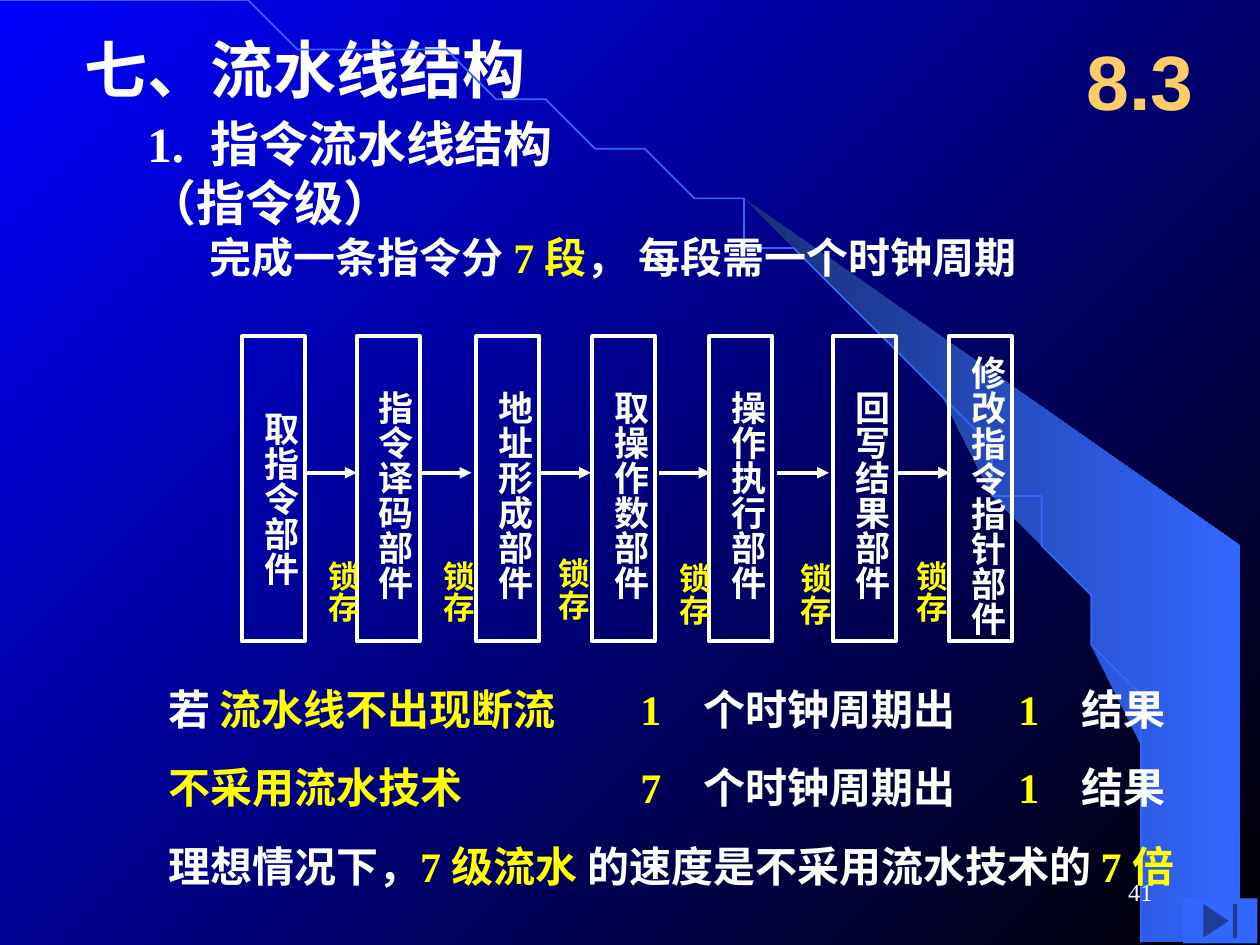
from lxml.etree import SubElement
from pptx import Presentation
from pptx.dml.color import RGBColor
from pptx.enum.shapes import MSO_CONNECTOR, MSO_SHAPE
from pptx.enum.text import MSO_ANCHOR, MSO_AUTO_SIZE, PP_ALIGN
from pptx.oxml.ns import qn
from pptx.util import Cm, Pt

WHITE, YELLOW, ORANGE, BLUE = "FFFFFF", "FFFF00", "FFCC66", "3366FF"
SERIF, SANS = "Times New Roman", "Arial"

TITLE = [("七、流水线结构", WHITE)]
HEADING = [("1.\t指令流水线结构（指令级）", WHITE)]


def rate_runs(cycles):
    return [(f"{cycles}\t", YELLOW), ("个时钟周期出\t", WHITE), ("1\t", YELLOW), ("结果", WHITE)]


RATE_TABS = [1.03, 5.69, 6.71]
# left, top, width, tab stops, runs
STATEMENTS = [
    (4.23, 4.45, 18.2, [], [("完成一条指令分 ", WHITE), ("7 段", YELLOW), ("， 每段需一个时钟周期", WHITE)]),
    (3.39, 13.55, 9.31, [], [("若 ", WHITE), ("流水线不出现断流", YELLOW)]),
    (12.91, 13.55, 9.53, RATE_TABS, rate_runs(1)),
    (3.39, 15.13, 8.26, [], [("不采用流水技术", YELLOW)]),
    (12.91, 15.13, 9.53, RATE_TABS, rate_runs(7)),
    (3.39, 16.72, 21.17, [], [("理想情况下，", WHITE), ("7 级流水 ", YELLOW),
                              ("的速度是不采用流水技术的 ", WHITE), ("7 倍", YELLOW)]),
]

# box left, label top, label height, label wraps, label
STAGES = [
    (4.88, 8.05, 3.78, False, "取指令部件"),
    (7.19, 7.62, 4.5, False, "指令译码部件"),
    (9.6, 7.62, 4.5, False, "地址形成部件"),
    (11.94, 7.62, 4.5, False, "取操作数部件"),
    (14.3, 7.62, 5.26, True, "操作执行部件"),
    (16.79, 7.62, 5.72, True, "回写结果部件"),
    (19.13, 6.93, 5.92, False, "修改指令指针部件"),
]
STAGE_TOP, STAGE_WIDTH, STAGE_HEIGHT = 6.78, 1.27, 6.15
ARROW_STARTS = [6.15, 8.46, 10.87, 13.28, 15.67, 18.11]
ARROW_Y, ARROW_LENGTH = 9.53, 1.04
LATCHES = [(6.15, 11.05), (8.48, 11.05), (10.8, 11), (13.23, 11.1), (15.67, 11.1), (18.01, 11.05)]

ARC = [(0, 0), (12.9, 0), (23.37, 8.51), (23.37, 19.02)]
CRESCENT = [
    (23.37, 19), (25.37, 19.02), (25.37, 10.74), (14.96, 4.39), (15.85, 5.05), (16.59, 5.64),
    (17.4, 6.35), (18.19, 7.11), (19.35, 8.38), (20.4, 9.75), (21.13, 10.95), (21.79, 12.17),
    (22.3, 13.41), (22.68, 14.53), (22.94, 15.47), (23.19, 16.66), (23.29, 17.68),
]

LINE_FRAME = dict(margin_left=0, margin_right=0, margin_top=Cm(0.13), margin_bottom=Cm(0.13),
                  vertical_anchor=MSO_ANCHOR.MIDDLE, auto_size=MSO_AUTO_SIZE.NONE, word_wrap=False)
CORNER_FRAME = {**LINE_FRAME, "margin_left": Cm(0.25), "margin_right": Cm(0.25), "word_wrap": True}
VERTICAL_FRAME = dict(margin_left=Cm(0.13), margin_right=Cm(0.13), margin_top=Cm(0.25),
                      margin_bottom=Cm(0.25), vertical_anchor=MSO_ANCHOR.TOP,
                      auto_size=MSO_AUTO_SIZE.SHAPE_TO_FIT_TEXT, word_wrap=False)


def color(value):
    return RGBColor.from_string(value)


def set_gradient(fill, stops, angle):
    fill.gradient()
    fill.gradient_angle = angle
    for stop, value in zip(fill.gradient_stops, stops):
        stop.color.rgb = color(value)


def write(shape, box, runs, size, frame, tabs=(), font=SERIF, bold=True, align=PP_ALIGN.LEFT):
    """Place a text shape and fill its single paragraph with coloured runs."""
    shape.left, shape.top, shape.width, shape.height = map(Cm, box)
    for name, value in frame.items():
        setattr(shape.text_frame, name, value)
    paragraph = shape.text_frame.paragraphs[0]
    properties = paragraph._p.get_or_add_pPr()
    properties.set("marL", "0")
    properties.set("indent", "0")
    paragraph.alignment = align
    paragraph.space_before = Pt(0)
    SubElement(properties, qn("a:buNone"))
    if tabs:
        tab_list = SubElement(properties, qn("a:tabLst"))
        for position in tabs:
            SubElement(tab_list, qn("a:tab"), pos=str(Cm(position)), algn="l")
    for text, value in runs:
        run = paragraph.add_run()
        run.text = text
        for name, setting in dict(name=font, size=Pt(size), bold=bold).items():
            setattr(run.font, name, setting)
        run.font.color.rgb = color(value)


def write_new(slide, box, *content, **options):
    shape = slide.shapes.add_textbox(*map(Cm, box))
    write(shape, box, *content, **options)
    return shape


def write_vertical(slide, box, text, value, size, wraps=False):
    shape = write_new(slide, box, [(text, value)], size, {**VERTICAL_FRAME, "word_wrap": wraps})
    shape.text_frame._txBody.bodyPr.set("vert", "eaVert")


def add_outline(slide, points, close):
    builder = slide.shapes.build_freeform(*points[0], scale=Cm(1))
    builder.add_line_segments(points[1:], close=close)
    shape = builder.convert_to_shape()
    shape.shadow.inherit = False
    return shape


def curve_points(controls, steps=60):
    """Points along a cubic Bezier curve."""
    points = []
    for step in range(steps + 1):
        t = step / steps
        weights = ((1 - t) ** 3, 3 * t * (1 - t) ** 2, 3 * t * t * (1 - t), t ** 3)
        points.append(tuple(sum(w * p[axis] for w, p in zip(weights, controls)) for axis in (0, 1)))
    return points


def add_arrow(slide, start):
    arrow = slide.shapes.add_connector(MSO_CONNECTOR.STRAIGHT, Cm(start), Cm(ARROW_Y),
                                       Cm(start + ARROW_LENGTH), Cm(ARROW_Y))
    arrow.line.color.rgb = color(WHITE)
    arrow.line.width = Pt(2.25)
    SubElement(arrow.line._get_or_add_ln(), qn("a:tailEnd"), type="triangle")
    SubElement(arrow._element.spPr, qn("a:effectLst"))


def add_decoration(slide):
    set_gradient(slide.background.fill, ("0000FF", "000000"), 315)
    crescent = add_outline(slide, CRESCENT, close=True)
    set_gradient(crescent.fill, ("182F76", BLUE), 0)
    crescent.line.fill.background()
    arc = add_outline(slide, curve_points(ARC), close=False)
    arc.fill.background()
    arc.line.color.rgb = color(BLUE)
    arc.line.width = Pt(1)


def add_pipeline(slide):
    for left, top, height, wraps, label in STAGES:
        write_vertical(slide, (left - 0.02, top, 1.35, height), label, WHITE, 20, wraps)
        box = slide.shapes.add_shape(MSO_SHAPE.RECTANGLE, Cm(left), Cm(STAGE_TOP),
                                     Cm(STAGE_WIDTH), Cm(STAGE_HEIGHT))
        box.shadow.inherit = False
        box.fill.background()
        box.line.color.rgb = color(WHITE)
        box.line.width = Pt(2.25)
    for start in ARROW_STARTS:
        add_arrow(slide, start)
    for left, top in LATCHES:
        write_vertical(slide, (left, top, 1.27, 1.52), "锁存", YELLOW, 18)


def main():
    presentation = Presentation()
    presentation.slide_width, presentation.slide_height = Cm(25.4), Cm(19.05)
    slide = presentation.slides.add_slide(presentation.slide_layouts[1])
    add_decoration(slide)
    title, body = slide.placeholders
    write(title, (1.7, 0.64, 14.99, 1.47), TITLE, 36, LINE_FRAME)
    write(body, (2.97, 2.74, 9.32, 1.47), HEADING, 28, LINE_FRAME, tabs=[1.42])
    for left, top, width, tabs, runs in STATEMENTS:
        write_new(slide, (left, top, width, 1.47), runs, 24, LINE_FRAME, tabs=tabs)
    add_pipeline(slide)
    write_new(slide, (21.39, 0.43, 3.18, 2.34), [("8.3", ORANGE)], 44, CORNER_FRAME,
              font=SANS, align=PP_ALIGN.CENTER)
    button = slide.shapes.add_shape(MSO_SHAPE.ACTION_BUTTON_END, Cm(23.85), Cm(18.11), Cm(1.5), Cm(0.91))
    button.shadow.inherit = False
    button.fill.solid()
    button.fill.fore_color.rgb = color(BLUE)
    button.line.fill.background()
    write_new(slide, (18.21, 17.35, 5.28, 1.27), [("41", WHITE)], 14, CORNER_FRAME,
              bold=False, align=PP_ALIGN.RIGHT)
    presentation.save("out.pptx")


if __name__ == "__main__":
    main()
